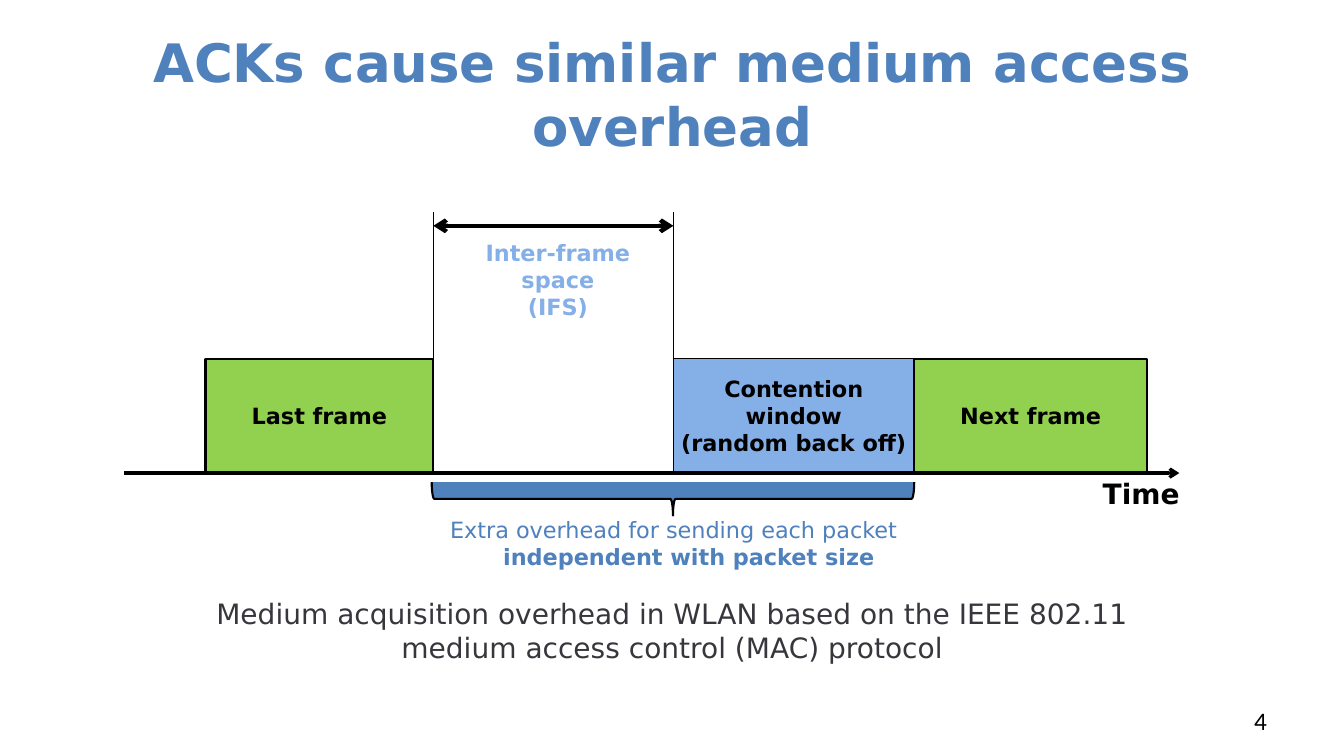
from itertools import pairwise

from lxml.etree import SubElement
from pptx import Presentation
from pptx.dml.color import RGBColor
from pptx.enum.shapes import MSO_CONNECTOR, MSO_SHAPE
from pptx.enum.text import MSO_ANCHOR, MSO_AUTO_SIZE, PP_ALIGN
from pptx.oxml.ns import qn
from pptx.util import Cm, Pt

COLOURS = {
    "accent": "4F81BD",
    "waiting": "85AFE7",
    "frame": "92D050",
    "ink": "000000",
    "caption": "36363D",
}
FONT = "DejaVu Sans"


def colour(name):
    return RGBColor.from_string(COLOURS[name])


def write(text_frame, lines, size, colour_name, bold=False,
          align=PP_ALIGN.CENTER, font_name=FONT, inset=0):
    """Fill a text frame with one paragraph per line, all in one format."""
    text_frame.word_wrap = True
    text_frame.auto_size = MSO_AUTO_SIZE.NONE
    text_frame.margin_left = text_frame.margin_right = Cm(inset)
    text_frame.margin_top = text_frame.margin_bottom = Cm(inset / 2)
    text_frame.text = "\n".join(lines)
    for paragraph in text_frame.paragraphs:
        paragraph.alignment = align
        paragraph.font.name = font_name
        paragraph.font.size = Pt(size)
        paragraph.font.bold = bold
        paragraph.font.color.rgb = colour(colour_name)


def add_label(slide, box, lines, size, colour_name, **options):
    text_box = slide.shapes.add_textbox(*map(Cm, box))
    write(text_box.text_frame, lines, size, colour_name, **options)


def add_block(slide, box, lines, fill, line_width):
    block = slide.shapes.add_shape(MSO_SHAPE.RECTANGLE, *map(Cm, box))
    block.shadow.inherit = False
    block.fill.solid()
    block.fill.fore_color.rgb = colour(fill)
    block.line.color.rgb = colour("ink")
    block.line.width = Pt(line_width)
    block.text_frame.vertical_anchor = MSO_ANCHOR.MIDDLE
    write(block.text_frame, lines, 16, "ink", bold=True, inset=0.1)


def add_line(slide, start, end, width, arrowheads=()):
    """Draw a straight line; arrowheads may hold "headEnd" and "tailEnd"."""
    connector = slide.shapes.add_connector(
        MSO_CONNECTOR.STRAIGHT, *map(Cm, start + end))
    connector.line.color.rgb = colour("ink")
    connector.line.width = Pt(width)
    for end_name in arrowheads:
        SubElement(connector.line._get_or_add_ln(), qn(f"a:{end_name}"), type="arrow")
    SubElement(connector._element.spPr, qn("a:effectLst"))


def add_brace(slide, left, top, width, height):
    """Draw a brace that lies under the given span and points down."""
    centre_x, centre_y = left + width / 2, top + height / 2
    brace = slide.shapes.add_shape(
        MSO_SHAPE.LEFT_BRACE, Cm(centre_x - height / 2), Cm(centre_y - width / 2),
        Cm(height), Cm(width))
    brace.rotation = 270
    brace.adjustments[0] = 0.08
    brace.adjustments[1] = 0.5
    brace.shadow.inherit = False
    brace.fill.solid()
    brace.fill.fore_color.rgb = colour("accent")
    brace.line.color.rgb = colour("ink")
    brace.line.width = Pt(1.5)


def add_title(slide, box, text):
    title = slide.shapes.title
    title.left, title.top, title.width, title.height = map(Cm, box)
    title.text_frame.vertical_anchor = MSO_ANCHOR.MIDDLE
    write(title.text_frame, [text], 37.8, "accent", bold=True, inset=0.25)


def add_timeline(slide, left, top, width, height):
    """Draw frames and waiting times on a time axis, with the overhead below."""
    edges = [left + offset for offset in (2.06, 7.8, 13.85, 19.92, 25.79)]
    block_top = top + 3.71
    block_height = 2.85
    axis_y = top + 6.59
    bottom = top + height

    blocks = (
        (["Last frame"], "frame", 1.5),
        None,
        (["Contention window", "(random back off)"], "waiting", 0.75),
        (["Next frame"], "frame", 1.5),
    )
    for (start, end), block in zip(pairwise(edges), blocks):
        if block:
            add_block(slide, (start, block_top, end - start, block_height), *block)

    space_start, space_end = edges[1:3]
    for x in (space_start, space_end):
        add_line(slide, (x, top), (x, block_top), 0.75)
    add_line(slide, (space_start, top + 0.36), (space_end, top + 0.36), 3,
             ("headEnd", "tailEnd"))
    add_label(slide, (space_start + 0.45, top + 0.7, 5.38, 2.1),
              ["Inter-frame space", "(IFS)"], 16, "waiting", bold=True)

    add_line(slide, (left, axis_y), (left + width, axis_y), 2.25, ("tailEnd",))
    add_label(slide, (left + width - 1.93, axis_y + 0.1, 2.3, 0.9),
              ["Time"], 20, "ink", bold=True, align=PP_ALIGN.LEFT)

    overhead = edges[3] - space_start
    add_brace(slide, space_start - 0.04, axis_y + 0.23, overhead + 0.04, 0.84)
    add_label(slide, (space_start, bottom - 1.45, overhead, 0.7),
              ["Extra overhead for sending each packet"], 16, "accent")
    add_label(slide, (space_start + 0.38, bottom - 0.76, overhead, 0.76),
              ["independent with packet size"], 16, "accent", bold=True)


def main():
    presentation = Presentation()
    presentation.slide_width = Cm(33.87)
    presentation.slide_height = Cm(19.05)
    slide = presentation.slides.add_slide(presentation.slide_layouts[5])

    add_title(slide, (1.7, 0.76, 30.48, 3.18),
              "ACKs cause similar medium access overhead")
    add_timeline(slide, 3.12, 5.33, 26.6, 9.12)
    add_label(slide, (4.24, 15.04, 25.4, 2.13),
              ["Medium acquisition overhead in WLAN based on the IEEE 802.11 "
               "medium access control (MAC) protocol"], 20, "caption")
    add_label(slide, (24.28, 17.65, 7.9, 1.02), ["4"], 18, "ink",
              align=PP_ALIGN.RIGHT, font_name="Calibri", inset=0.25)
    presentation.save("out.pptx")


if __name__ == "__main__":
    main()
